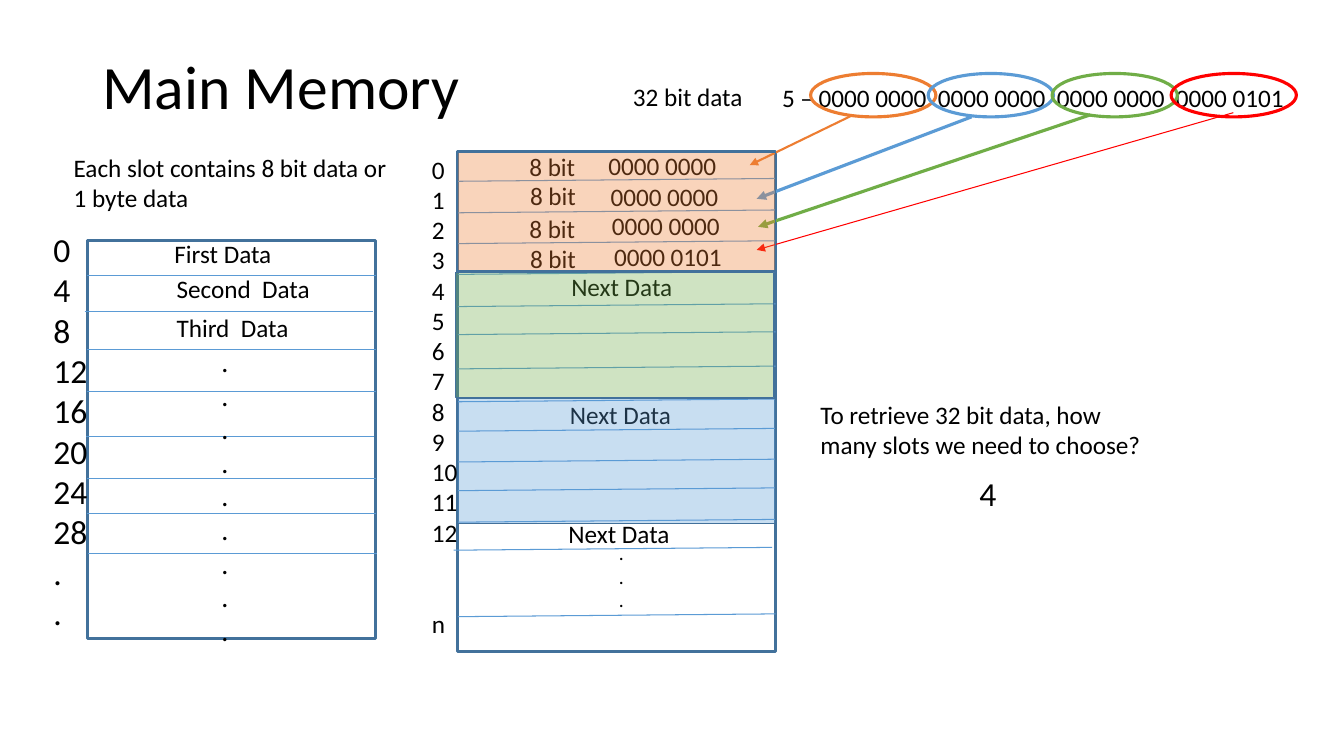
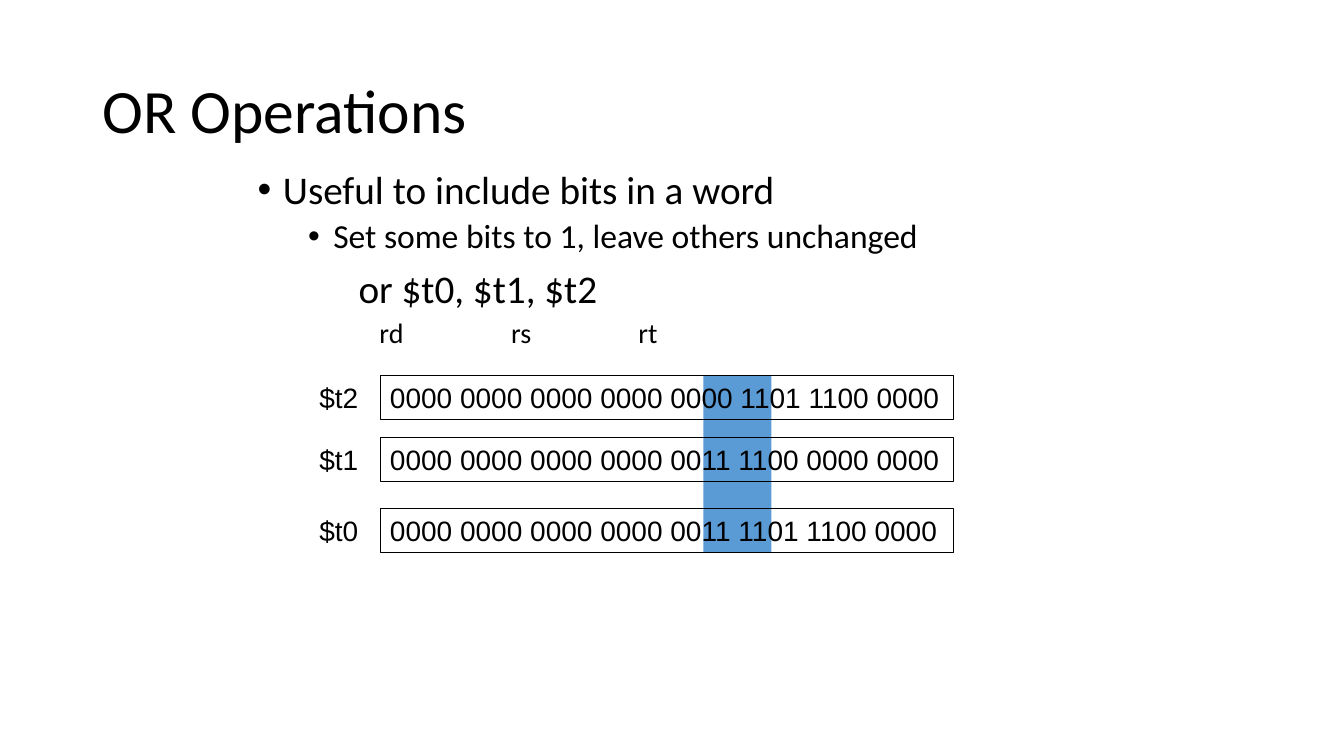
from lxml import etree
from pptx import Presentation
from pptx.dml import color
from pptx.enum import shapes, text
from pptx.oxml import ns
from pptx.util import Pt

COLORS = {
    "ink": "000000",
    "frame": "42719B",
    "blue": "5B9BD5",
    "orange": "ED7D31",
    "green": "70AD47",
    "red": "FF0000",
}
BODY_FONT = "Calibri"
CODE_FONT = "Arial"
RECT = shapes.MSO_SHAPE.RECTANGLE
OVAL = shapes.MSO_SHAPE.OVAL


def rgb(name):
    """Return the palette colour of that name."""
    return color.RGBColor.from_string(COLORS[name])


def fill_frame(frame, lines, size, font=BODY_FONT, spacing=None):
    """Write one paragraph per line and return the paragraphs."""
    frame.word_wrap = True
    paragraphs = []
    for index, line in enumerate(lines):
        paragraph = frame.add_paragraph() if index else frame.paragraphs[0]
        paragraph.alignment = text.PP_ALIGN.LEFT
        if spacing:
            paragraph.line_spacing = spacing
        run = paragraph.add_run()
        run.text = line
        run.font.size = Pt(size)
        run.font.name = font
        run.font.color.rgb = rgb("ink")
        paragraphs.append(paragraph)
    return paragraphs


def add_text(slide, at, lines, size=18, font=BODY_FONT, spacing=None):
    """Add a text box at left, top, width, height and return its paragraphs."""
    box = slide.shapes.add_textbox(*map(Pt, at))
    return fill_frame(box.text_frame, lines, size, font, spacing)


def add_title(slide, title, height):
    """Add the slide title, centred vertically in its band."""
    box = slide.shapes.add_textbox(Pt(66), Pt(29), Pt(828), Pt(height))
    box.text_frame.vertical_anchor = text.MSO_ANCHOR.MIDDLE
    fill_frame(box.text_frame, [title], 44, spacing=0.9)


def add_shape(slide, preset, at, line=None, width=2.25, fill=None, alpha=None):
    """Add a preset shape with optional outline and translucent fill."""
    shape = slide.shapes.add_shape(preset, *map(Pt, at))
    shape.shadow.inherit = False
    if fill:
        shape.fill.solid()
        shape.fill.fore_color.rgb = rgb(fill)
    else:
        shape.fill.background()
    if alpha:
        tint = shape.element.spPr.find(".//" + ns.qn("a:srgbClr"))
        etree.SubElement(tint, ns.qn("a:alpha"), val=str(alpha * 1000))
    if line:
        shape.line.color.rgb = rgb(line)
        shape.line.width = Pt(width)
    else:
        shape.line.fill.background()
    return shape


def add_line(slide, start, end, line="blue", width=0.75, arrow=False):
    """Add a straight line, with an arrowhead at its end if wanted."""
    connector = slide.shapes.add_connector(
        shapes.MSO_CONNECTOR.STRAIGHT, *map(Pt, (*start, *end)))
    connector.line.color.rgb = rgb(line)
    connector.line.width = Pt(width)
    properties = connector.element.spPr
    if arrow:
        outline = properties.find(ns.qn("a:ln"))
        etree.SubElement(outline, ns.qn("a:tailEnd"), type="triangle")
    etree.SubElement(properties, ns.qn("a:effectLst"))


def indent(paragraph, left, hanging=0, before=0, bullet=False):
    """Set the indents, the space before and the bullet of a paragraph."""
    paragraph.space_before = Pt(before)
    properties = paragraph._p.get_or_add_pPr()
    properties.set("marL", str(Pt(left)))
    properties.set("indent", str(-Pt(hanging)))
    if bullet:
        etree.SubElement(properties, ns.qn("a:buFont"), typeface=CODE_FONT)
        etree.SubElement(properties, ns.qn("a:buChar"), char="•")


def add_byte_memory(slide):
    """Draw the memory of one-byte slots with its addresses and contents."""
    left, width = 327, 227
    add_shape(slide, RECT, (left, 108.5, width, 357), "frame")
    for y in (129.5, 152, 174, 196, 219, 239, 263.5, 287, 308, 330, 350.5,
              373, 440.5):
        add_line(slide, (left, y), (left + width, y - 2))
    add_line(slide, (324, 393), (551.5, 391))

    addresses = [str(number) for number in range(13)] + ["n"]
    last = add_text(slide, (301.5, 106.5, 50, 378), addresses)[-1]
    last.space_before = Pt(43.5)
    add_text(slide, (435, 383, 32, 58), ["."] * 3, 14)

    slots = [
        (371, 104.5, 427.5, 103.5, "0000 0000"),
        (371.5, 125.5, 429, 126, "0000 0000"),
        (371, 148.5, 430, 147, "0000 0000"),
        (371.5, 170, 431.5, 168.5, "0000 0101"),
    ]
    for size_x, size_y, bits_x, bits_y, bits in slots:
        add_text(slide, (size_x, size_y, 60, 29), ["8 bit"])
        add_text(slide, (bits_x, bits_y, 123, 29), [bits])
    for x, y in ((401, 190), (400, 281.5), (399, 366.5)):
        add_text(slide, (x, y, 92, 29), ["Next Data"])


def add_word_split(slide):
    """Show how the four bytes of a word go to four slots."""
    add_text(slide, (445, 54.5, 109, 29), ["32 bit data"])
    add_text(slide, (551.5, 55.5, 400, 29),
             ["5 – 0000 0000  0000 0000  0000 0000  0000 0101"])
    parts = [
        ("orange", 579, (607.5, 83), (535.5, 118), 1.5),
        ("blue", 663, (694, 83.5), (540.5, 142), 2.25),
        ("green", 751.5, (779, 82), (541.5, 162), 2.25),
        ("red", 836.5, (881, 80.5), (540.5, 178.5), 0.75),
    ]
    for hue, x, start, end, width in parts:
        add_shape(slide, OVAL, (x, 52.5, 89.5, 31), hue)
        add_line(slide, start, end, hue, width, arrow=True)

    words = [("orange", 327, 108.5, 85), ("green", 325.5, 194.5, 89.5),
             ("blue", 327, 284.5, 89.5)]
    for hue, x, y, height in words:
        add_shape(slide, RECT, (x, y, 227, height), "frame", 1, hue, 33)


def add_word_memory(slide):
    """Draw the memory seen as four-byte words."""
    left, width = 62.5, 206
    add_shape(slide, RECT, (left, 171.5, width, 284.5), "frame")
    for shift, y in ((0, 196.5), (-2, 222.5), (0, 250), (0, 280), (-1, 312),
                     (0, 341.5), (0, 366.5), (0.5, 395.5)):
        add_line(slide, (left + shift, y), (left + shift + width, y))
    addresses = [str(number) for number in range(0, 32, 4)]
    add_text(slide, (31, 160, 50, 327), addresses + ["."] * 2, 24)
    for x, y, word in ((117.5, 167, "First Data"), (119, 192, "Second  Data"),
                       (119, 219.5, "Third  Data")):
        add_text(slide, (x, y, 115, 29), [word])
    add_text(slide, (151, 242.5, 68, 225), ["."] * 9, 20)


def build_main_memory(slide):
    """Build the slide on main memory."""
    add_title(slide, "Main Memory", 70.5)
    add_byte_memory(slide)
    add_word_split(slide)
    add_word_memory(slide)
    add_text(slide, (45.5, 105, 249, 51),
             ["Each slot contains 8 bit data or 1 byte data"])
    add_text(slide, (579, 281.5, 249, 51),
             ["To retrieve 32 bit data, how many slots we need to choose?"])
    add_text(slide, (692.5, 334, 249, 36), ["4"], 24)


def build_or_operations(slide):
    """Build the slide on OR operations."""
    add_shape(slide, RECT, (502.5, 268.5, 48.5, 126.5), fill="blue")
    add_title(slide, "OR Operations", 104.5)
    use, effect, instruction = add_text(
        slide, (177, 118, 652, 163),
        ["Useful to include bits in a word",
         "Set some bits to 1, leave others unchanged",
         "or $t0, $t1, $t2"], 28, spacing=0.9)
    effect.runs[0].font.size = Pt(24)
    indent(use, 18, 18, bullet=True)
    indent(effect, 54, 18, 5, bullet=True)
    indent(instruction, 72, before=10)

    for x, operand in ((264, "rd"), (358, "rs"), (449, "rt")):
        add_text(slide, (x, 222, 50, 31.5), [operand], 20)
    registers = [
        (268, "$t2", "0000 0000 0000 0000 0000 1101 1100 0000"),
        (312.5, "$t1", "0000 0000 0000 0000 0011 1100 0000 0000"),
        (363, "$t0", "0000 0000 0000 0000 0011 1101 1100 0000"),
    ]
    for y, register, bits in registers:
        add_text(slide, (221, y, 48, 31.5), [register], 20, CODE_FONT)
        word = add_shape(slide, RECT, (271.5, y, 409.5, 31.5), "ink", 0.75)
        word.text_frame.vertical_anchor = text.MSO_ANCHOR.TOP
        fill_frame(word.text_frame, [bits], 20, CODE_FONT)


def main():
    """Build and save the presentation."""
    deck = Presentation()
    deck.slide_width, deck.slide_height = Pt(960), Pt(540)
    for build in (build_main_memory, build_or_operations):
        build(deck.slides.add_slide(deck.slide_layouts[6]))
    deck.save("out.pptx")


if __name__ == "__main__":
    main()
